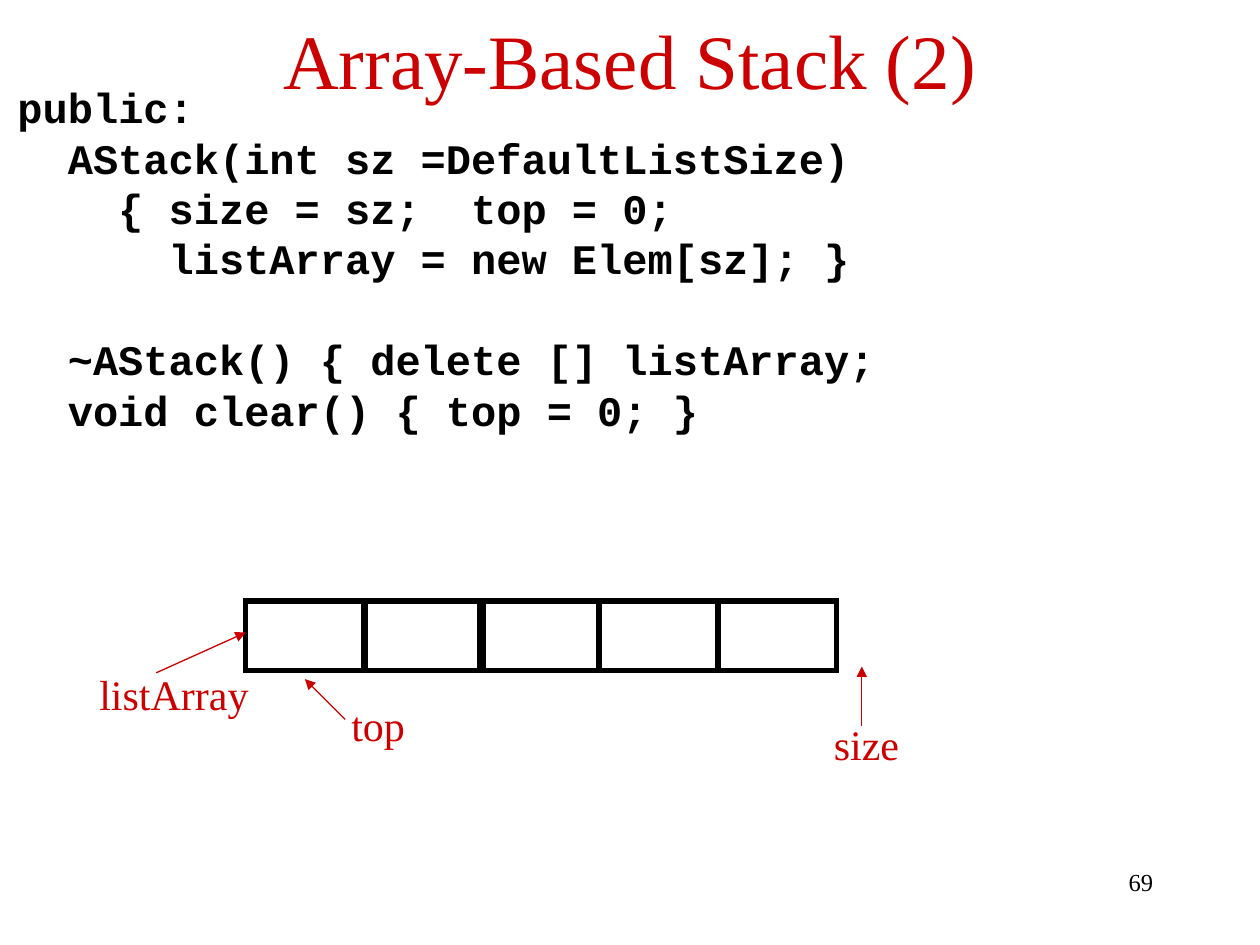
"""Build the array-based stack slide: code above, array diagram below."""
from lxml import etree
from pptx import Presentation, util as u
from pptx.dml.color import RGBColor
from pptx.enum import shapes, text
from pptx.oxml.ns import qn

COLORS = {"ink": "000000", "accent": "CC0000"}
SERIF, MONO = "Times New Roman", "Courier New"
ALIGN = text.PP_ALIGN
CODE_SIZE, CODE_PITCH = 24, 28.8
CHAR_WIDTH = 0.6 * CODE_SIZE

TITLE = "Array-Based Stack (2)"
PAGE_NUMBER = "69"
CODE = [
    (0, 0, "public:"),
    (2, 0, "AStack(int sz =DefaultListSize)"),
    (4, 0, "{ size = sz;  top = 0;"),
    (6, 0, "listArray = new Elem[sz]; }"),
    (2, 1, "~AStack() { delete [] listArray;"),
    (2, 0, "void clear() { top = 0; }"),
]
CELL_LEFTS = [1.95, 2.9, 3.81, 4.76, 5.7]
CELL_TOP, CELL_WIDTH, CELL_HEIGHT = 4.77, 0.94, 0.55
POINTERS = [
    ("top", (2.69, 5.5, 0.64, 0.5), (2.74, 5.71), (2.42, 5.39)),
    ("listArray", (0.69, 5.26, 1.4, 0.5), (1.24, 5.34), (1.95, 5.02)),
    ("size", (6.52, 5.65, 0.74, 0.5), (6.84, 5.76), (6.84, 5.29)),
]


def inches(values):
    return [u.Inches(value) for value in values]


def rgb(name):
    return RGBColor.from_string(COLORS[name])


def add_text(slide, box, lines, size, color, font=SERIF, bold=False,
             align=ALIGN.LEFT, anchor=text.MSO_ANCHOR.TOP):
    frame = slide.shapes.add_textbox(*inches(box)).text_frame
    frame.text = "\n".join(lines)
    frame.word_wrap = True
    frame.vertical_anchor = anchor
    for paragraph in frame.paragraphs:
        paragraph.alignment = align
        for run in paragraph.runs:
            run.font.size = u.Pt(size)
            run.font.name = font
            run.font.bold = bold
            run.font.color.rgb = rgb(color)
    return frame


def add_code(slide):
    frame = add_text(slide, (0.04, 0.6, 10, 2.9), [line for _, _, line in CODE],
                     CODE_SIZE, "ink", MONO, bold=True)
    for paragraph, (indent, gap, _) in zip(frame.paragraphs, CODE):
        paragraph.line_spacing = u.Pt(CODE_PITCH)
        paragraph.space_before = u.Pt(gap * CODE_PITCH)
        properties = paragraph._p.get_or_add_pPr()
        properties.set("marL", str(u.Pt(indent * CHAR_WIDTH)))
        properties.set("indent", "0")


def add_cell(slide, left):
    cell = slide.shapes.add_shape(
        shapes.MSO_SHAPE.RECTANGLE,
        *inches((left, CELL_TOP, CELL_WIDTH, CELL_HEIGHT)))
    cell.shadow.inherit = False
    cell.fill.background()
    cell.line.color.rgb = rgb("ink")
    cell.line.width = u.Pt(3)
    etree.SubElement(cell.line._get_or_add_ln(), qn("a:miter"), lim="800000")


def add_pointer(slide, label, box, start, end):
    frame = add_text(slide, box, [label], 24, "accent")
    frame.word_wrap = False
    frame.auto_size = text.MSO_AUTO_SIZE.SHAPE_TO_FIT_TEXT
    arrow = slide.shapes.add_connector(
        shapes.MSO_CONNECTOR.STRAIGHT, *inches(start + end))
    arrow.line.color.rgb = rgb("accent")
    arrow.line.width = u.Pt(0.75)
    etree.SubElement(arrow.line._get_or_add_ln(), qn("a:tailEnd"), type="triangle")
    etree.SubElement(arrow._element.spPr, qn("a:effectLst"))


def main():
    deck = Presentation()
    deck.slide_width, deck.slide_height = inches((10, 7.5))
    slide = deck.slides.add_slide(deck.slide_layouts[6])
    add_text(slide, (7.17, 6.83, 2.08, 0.5), [PAGE_NUMBER], 14, "ink",
             align=ALIGN.RIGHT)
    add_code(slide)
    add_text(slide, (0.5, -0.03, 9, 1), [TITLE], 44, "accent",
             align=ALIGN.CENTER, anchor=text.MSO_ANCHOR.MIDDLE)
    for left in CELL_LEFTS:
        add_cell(slide, left)
    for pointer in POINTERS:
        add_pointer(slide, *pointer)
    deck.save("out.pptx")


if __name__ == "__main__":
    main()
